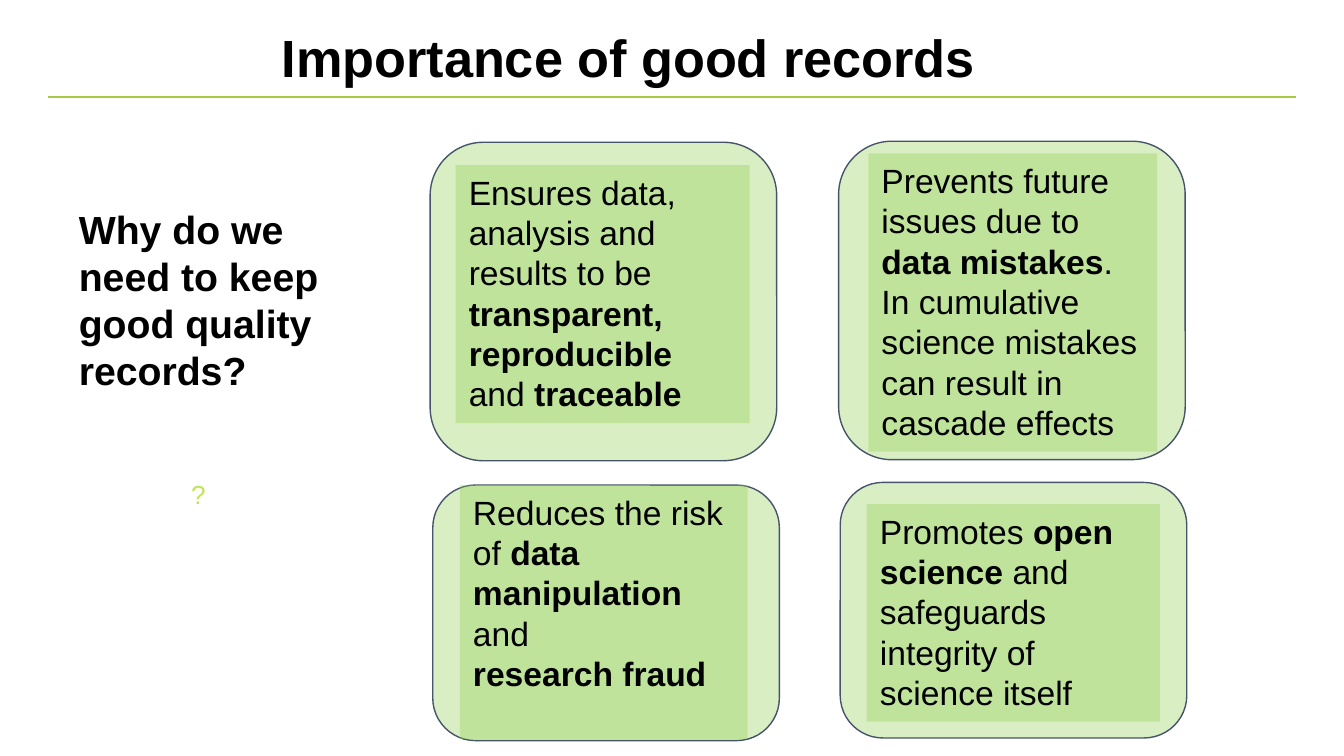
"""Build a slide on the importance of good records."""
from lxml import etree
from pptx import Presentation
from pptx.dml.color import RGBColor
from pptx.enum import shapes, text
from pptx.oxml import ns
from pptx.util import Cm, Pt


def paint(part, color, alpha=None):
    part.solid()
    part.fore_color.rgb = RGBColor.from_string(color)
    if alpha:
        tone = part._xPr.find(".//" + ns.qn("a:srgbClr"))
        etree.SubElement(tone, ns.qn("a:alpha")).set("val", str(alpha * 1000))


def write(box, lines, size, color="000000", align=None):
    frame = box.text_frame
    frame.word_wrap = True
    frame.vertical_anchor = text.MSO_ANCHOR.TOP
    for row, line in enumerate(lines):
        para = frame.add_paragraph() if row else frame.paragraphs[0]
        para.alignment = align
        for spot, piece in enumerate(line.split("*")):
            if piece:
                run = para.add_run()
                run.text = piece
                run.font.name = "Arial"
                run.font.size = Pt(size)
                run.font.bold = spot % 2 == 1
                paint(run.font.fill, color)
    return frame


deck = Presentation()
deck.slide_width, deck.slide_height = Cm(25.4), Cm(14.29)
slide = deck.slides.add_slide(deck.slide_layouts[6])
center = text.PP_ALIGN.CENTER

rule = slide.shapes.add_connector(
    shapes.MSO_CONNECTOR.STRAIGHT, Cm(0.9), Cm(1.83), Cm(24.5), Cm(1.83))
paint(rule.line.fill, "A7C947")
rule.line.width = Pt(1)
etree.SubElement(rule._element.spPr, ns.qn("a:effectLst"))

title = slide.shapes.add_textbox(Cm(4.32), Cm(0.48), Cm(15.11), Cm(1.32))
frame = write(title, ["*Importance of good records*"], 28, align=center)
frame.margin_left = frame.margin_right = frame.margin_top = frame.margin_bottom = 0

ask = slide.shapes.add_textbox(Cm(-0.03), Cm(3.76), Cm(6.99), Cm(3.86))
frame = write(ask, ["*Why do we need to keep good quality records?*"], 21)
frame.paragraphs[0]._p.get_or_add_pPr().set("marL", str(Cm(1.27)))

cards = [
    ((8.13, 2.69, 6.02), (8.61, 3.12, 5.56, 4.88),
     ["Ensures data, analysis and results to be *transparent, reproducible* and *traceable*"]),
    ((15.85, 2.67, 6.02), (16.41, 2.9, 5.46, 5.64),
     ["Prevents future issues due to *data mistakes*. In cumulative science "
      "mistakes can result in cascade effects"]),
    ((15.88, 9.12, 4.83), (16.38, 9.53, 5.54, 4.11),
     ["Promotes *open science *and safeguards integrity of science itself"]),
    ((8.18, 9.17, 4.83), (8.69, 9.17, 5.44, 4.8),
     ["Reduces the risk of *data manipulation* and", "*research fraud*"]),
]
for (left, top, high), inner, lines in cards:
    group = slide.shapes.add_group_shape()
    card = group.shapes.add_shape(
        shapes.MSO_SHAPE.ROUNDED_RECTANGLE, Cm(left), Cm(top), Cm(6.55), Cm(high))
    card.shadow.inherit = False
    card.adjustments[0] = 0.167
    paint(card.fill, "92D050", 34)
    paint(card.line.fill, "44546A")
    card.line.width = Pt(0.75)
    label = group.shapes.add_textbox(*map(Cm, inner))
    paint(label.fill, "92D050", 34)
    write(label, lines, 18)

mark = slide.shapes.add_textbox(Cm(2.67), Cm(8.92), Cm(2.16), Cm(3.38))
write(mark, ["?"], 14, "C1E55A", center)

deck.save("out.pptx")
